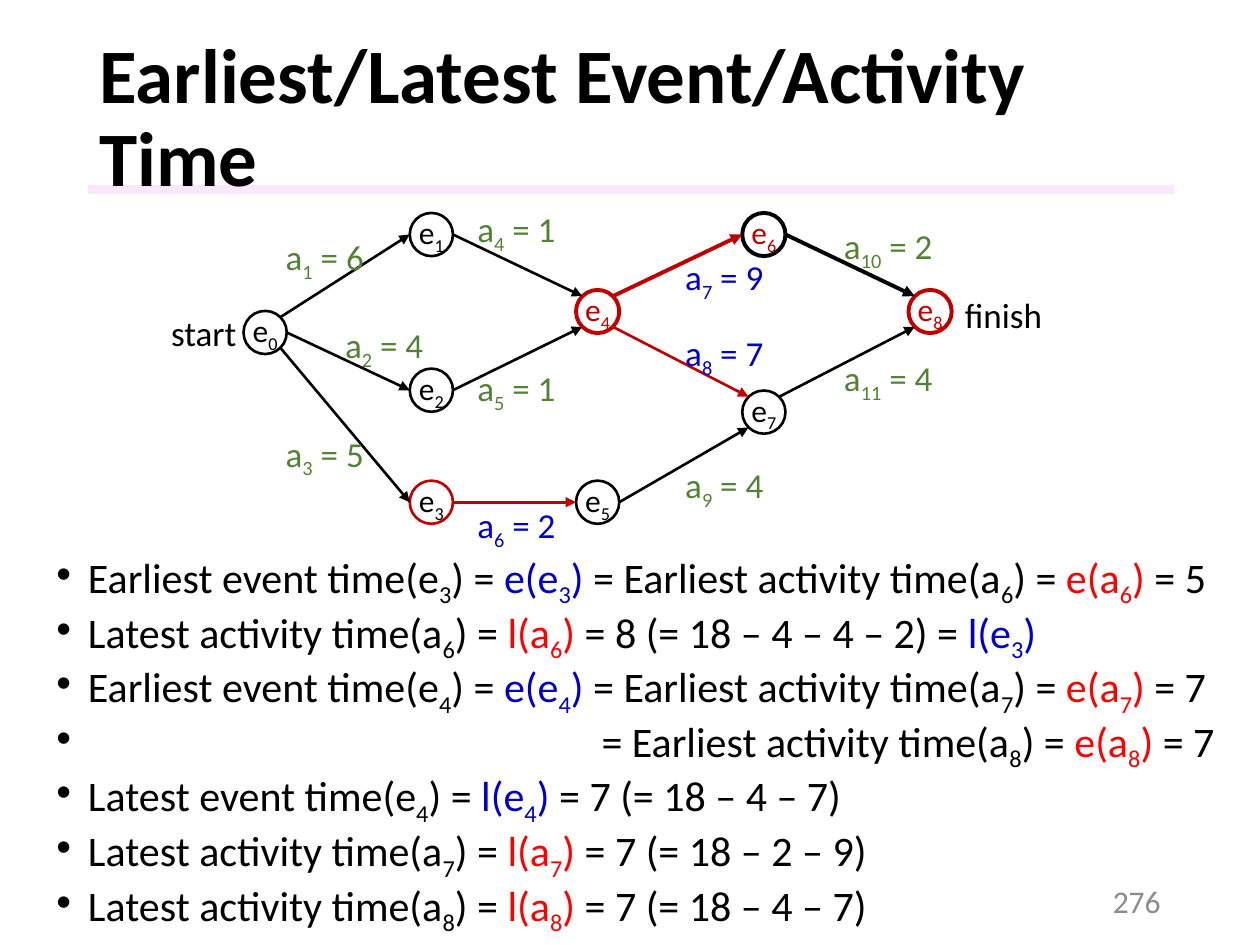
from lxml.etree import SubElement
from pptx import Presentation
from pptx.dml.color import RGBColor
from pptx.enum.shapes import MSO_CONNECTOR as CONNECTOR, MSO_SHAPE as SHAPE
from pptx.enum.text import MSO_ANCHOR as ANCHOR, PP_ALIGN as ALIGN
from pptx.oxml.ns import qn
from pptx.util import Pt

BLACK, BLUE, RED, DARK_RED, GREEN = "000000", "0000CC", "FF0000", "C00000", "548235"
color = RGBColor.from_string


def write(paragraph, segments, size, bold=False):
    font_format = {"name": "Calibri", "size": Pt(size), "bold": bold}
    for text, ink in segments:
        for index, part in enumerate(text.split("~")):
            if not part:
                continue
            run = paragraph.add_run()
            run.text = part
            for name, value in font_format.items():
                setattr(run.font, name, value)
            run.font.color.rgb = color(ink)
            if index % 2:
                run._r.get_or_add_rPr().set("baseline", "-25000")


def add_text_frame(left, top, width, height, **frame_format):
    frame = slide.shapes.add_textbox(Pt(left), Pt(top), Pt(width), Pt(height)).text_frame
    for name, value in {"word_wrap": True, **frame_format}.items():
        setattr(frame, name, value)
    return frame


presentation = Presentation()
presentation.slide_width, presentation.slide_height = Pt(720), Pt(540)
slide = presentation.slides.add_slide(presentation.slide_layouts[6])

bar = slide.shapes.add_shape(SHAPE.RECTANGLE, Pt(50.4), Pt(105.8), Pt(620.6), Pt(5))
bar.shadow.inherit = False
bar.line.fill.background()
bar.fill.solid()
bar.fill.fore_color.rgb = color("F3D2F4")
SubElement(bar._element.spPr.find(".//" + qn("a:srgbClr")), qn("a:alpha"), val="50000")

title = add_text_frame(49.7, 28.8, 620.6, 80, vertical_anchor=ANCHOR.MIDDLE).paragraphs[0]
title.line_spacing = 0.9
write(title, [("Earliest/Latest Event/Activity Time", BLACK)], 44, bold=True)

statements = [
    (18, [("Earliest event time(e~3~) = ", BLACK), ("e(e~3~) ", BLUE),
          ("= Earliest activity time(a~6~) = ", BLACK), ("e(a~6~)", RED), (" = 5", BLACK)]),
    (18, [("Latest activity time(a~6~) = ", BLACK), ("l(a~6~)", RED),
          (" = 8 (= 18 – 4 – 4 – 2) = ", BLACK), ("l(e~3~)", BLUE)]),
    (18, [("Earliest event time(e~4~) = ", BLACK), ("e(e~4~) ", BLUE),
          ("= Earliest activity time(a~7~) = ", BLACK), ("e(a~7~) ", RED), ("= 7", BLACK)]),
    (311.5, [("= Earliest activity time(a~8~) = ", BLACK), ("e(a~8~) ", RED), ("= 7", BLACK)]),
    (18, [("Latest event time(e~4~) = ", BLACK), ("l(e~4~)", BLUE), (" = 7 (= 18 – 4 – 7)", BLACK)]),
    (18, [("Latest activity time(a~7~) = ", BLACK), ("l(a~7~)", RED), (" = 7 (= 18 – 2 – 9)", BLACK)]),
    (18, [("Latest activity time(a~8~) = ", BLACK), ("l(a~8~)", RED), (" = 7 (= 18 – 4 – 7)", BLACK)]),
]
body = add_text_frame(25.2, 314.6, 679.7, 207.4)
for index, (indent, segments) in enumerate(statements):
    paragraph = body.add_paragraph() if index else body.paragraphs[0]
    paragraph.line_spacing = 0.8
    paragraph.space_before = Pt(5 if index else 0)
    properties = paragraph._p.get_or_add_pPr()
    properties.set("marL", str(Pt(indent)))
    properties.set("indent", str(-Pt(indent)))
    SubElement(properties, qn("a:buFont"), typeface="Arial")
    SubElement(properties, qn("a:buChar"), char="•")
    write(paragraph, segments, 24)

page_number = add_text_frame(508.3, 500.4, 162, 28.8, vertical_anchor=ANCHOR.MIDDLE).paragraphs[0]
page_number.alignment = ALIGN.RIGHT
write(page_number, [("276", "8C8C8C")], 18)

radius = 12.35
events = [
    (0, 190, BLACK, 1.5, BLACK),
    (1, 134, BLACK, 1.5, BLACK),
    (1, 223, BLACK, 1.5, BLACK),
    (1, 287, DARK_RED, 1.5, BLACK),
    (2, 178, DARK_RED, 2.25, DARK_RED),
    (2, 287, BLACK, 1.5, BLACK),
    (3, 134, BLACK, 2.25, DARK_RED),
    (3, 235.5, BLACK, 1.5, BLACK),
    (4, 178, DARK_RED, 2.25, DARK_RED),
]
centers = [(151.5 + 95 * column, y) for column, y, *_ in events]
for number, ((x, y), (_, _, outline, weight, ink)) in enumerate(zip(centers, events)):
    event = slide.shapes.add_shape(SHAPE.OVAL, Pt(x - radius), Pt(y - radius), Pt(2 * radius), Pt(2 * radius))
    event.shadow.inherit = False
    event.fill.background()
    event.line.color.rgb = color(outline)
    event.line.width = Pt(weight)
    frame_format = {"margin_left": 0, "margin_right": 0, "margin_top": Pt(3.6),
                    "margin_bottom": Pt(3.6), "vertical_anchor": ANCHOR.MIDDLE}
    for name, value in frame_format.items():
        setattr(event.text_frame, name, value)
    paragraph = event.text_frame.paragraphs[0]
    paragraph.alignment = ALIGN.CENTER
    write(paragraph, [(f"e~{number}~", ink)], 18)

sites = {"E": (1, 0), "W": (-1, 0), "NE": (0.71, -0.71), "NW": (-0.71, -0.71),
         "SE": (0.71, 0.71), "SW": (-0.71, 0.71)}
activities = [
    (0, "NE", 1, "W", BLACK, 1.5),
    (0, "E", 2, "W", BLACK, 1.5),
    (0, "SE", 3, "W", BLACK, 1.5),
    (1, "E", 4, "NW", BLACK, 1.5),
    (2, "E", 4, "SW", BLACK, 1.5),
    (3, "E", 5, "W", DARK_RED, 1.5),
    (4, "NE", 6, "W", DARK_RED, 2.25),
    (4, "SE", 7, "NW", DARK_RED, 1.5),
    (5, "E", 7, "SW", BLACK, 1.5),
    (6, "E", 8, "NW", BLACK, 2.25),
    (7, "NE", 8, "SW", BLACK, 1.5),
]
for start, start_site, end, end_site, ink, weight in activities:
    ends = [Pt(center + radius * offset)
            for number, site in ((start, start_site), (end, end_site))
            for center, offset in zip(centers[number], sites[site])]
    arrow = slide.shapes.add_connector(CONNECTOR.STRAIGHT, *ends)
    arrow.line.color.rgb = color(ink)
    arrow.line.width = Pt(weight)
    SubElement(arrow.line._get_or_add_ln(), qn("a:tailEnd"), type="triangle")
    SubElement(arrow._element.spPr, qn("a:effectLst"))

labels = [
    ("start", 90.7, 174.2, 52.6, BLACK),
    ("a~1~ = 6", 156.2, 131, 60.5, GREEN),
    ("a~2~ = 4", 190.1, 181.4, 60.5, GREEN),
    ("a~3~ = 5", 156.2, 243.4, 60.5, GREEN),
    ("a~4~ = 1", 265.7, 115.2, 60.5, GREEN),
    ("a~5~ = 1", 265.7, 205.9, 60.5, GREEN),
    ("a~6~ = 2", 265.7, 284.4, 60.5, BLUE),
    ("a~7~ = 9", 384.5, 142.6, 60.5, BLUE),
    ("a~8~ = 7", 384.5, 185.8, 60.5, BLUE),
    ("a~9~ = 4", 384.5, 261.4, 60.5, GREEN),
    ("a~10~ = 2", 475.2, 124.6, 67, GREEN),
    ("a~11~ = 4", 475.2, 200.2, 67, GREEN),
    ("finish", 544.3, 164.2, 59, BLACK),
]
for text, left, top, width, ink in labels:
    label = add_text_frame(left, top, width, 31.5, word_wrap=False)
    write(label.paragraphs[0], [(text, ink)], 20)

presentation.save("out.pptx")
